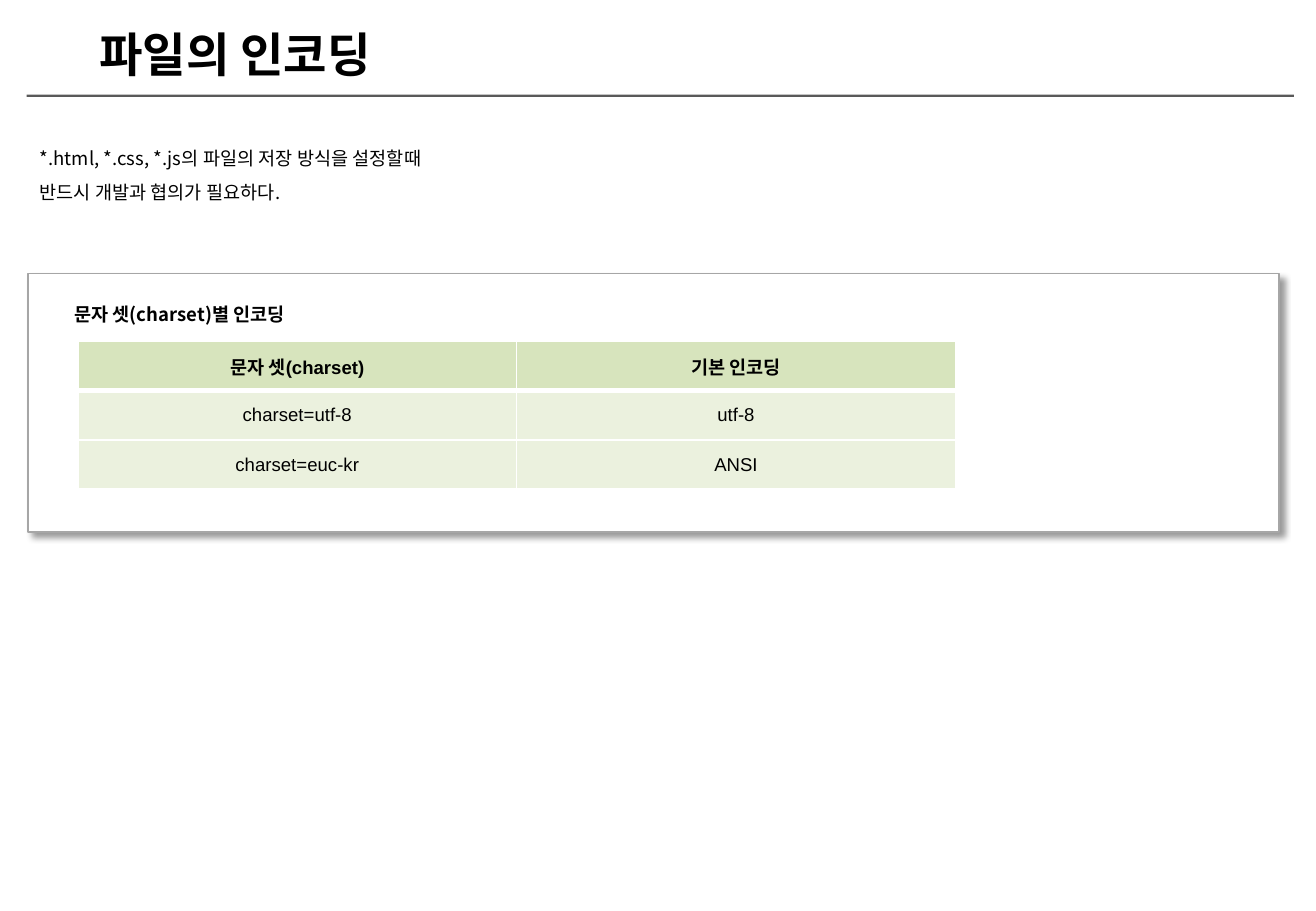
from lxml.etree import SubElement
from pptx import Presentation
from pptx.dml.color import RGBColor
from pptx.enum.shapes import MSO_SHAPE as SHAPE
from pptx.enum.text import MSO_ANCHOR as ANCHOR, MSO_AUTO_SIZE as AUTO, PP_ALIGN as ALIGN
from pptx.oxml import parse_xml
from pptx.oxml.ns import nsdecls, qn
from pptx.util import Cm, Pt

COLORS = {
    "text": "000000", "panel": "FFFFFF", "panel_line": "A6A6A6",
    "rule": "595959", "header": "D7E4BD", "body": "EBF1DE",
    "border": "FFFFFF", "shadow": "000000",
}
KOREAN, LATIN = "Noto Sans CJK KR", "Arial"
TEXTS = [
    (["파일의 인코딩"], (1.83, 0.41, 6.83, 1.45), dict(size=28, bold=True)),
    (["*.html, *.css, *.js의 파일의 저장 방식을 설정할때",
      "반드시 개발과 협의가 필요하다."], (0.58, 2.72, 8.94, 1.57), dict(spacing=1.5)),
    (["문자 셋(charset)별 인코딩"], (1.3, 5.97, 5.16, 0.97), dict(bold=True, spacing=1.5)),
]
ENCODINGS = [
    ("문자 셋(charset)", "기본 인코딩"),
    ("charset=utf-8", "utf-8"),
    ("charset=euc-kr", "ANSI"),
]
PANEL = (0.58, 5.72, 26.16, 5.41)
RULE = (0.56, 1.98, 26.49, 0.05)
TABLE_LEFT, TABLE_TOP, COL_W, ROW_H = 1.63, 7.14, 9.17, 1.03


def rgb(name):
    return RGBColor.from_string(COLORS[name])


def write(tf, lines, size=11, bold=False, font=KOREAN, align=None, spacing=None):
    for i, text in enumerate(lines):
        p = tf.add_paragraph() if i else tf.paragraphs[0]
        p.alignment, p.line_spacing = align, spacing
        r = p.add_run()
        r.text = text
        r.font.size, r.font.bold, r.font.name = Pt(size), bold, font
        r.font.color.rgb = rgb("text")
        SubElement(r.font._element, qn("a:ea")).set("typeface", KOREAN)


def add_box(s, box, fill, line=None):
    sp = s.shapes.add_shape(SHAPE.RECTANGLE, *map(Cm, box))
    sp.shadow.inherit = False
    sp.fill.solid()
    sp.fill.fore_color.rgb = rgb(fill)
    if line:
        sp.line.color.rgb = rgb(line)
        sp.line.width = Pt(1)
    else:
        sp.line.fill.background()
    return sp


def add_shadow(sp):
    effects = sp._element.spPr.find(qn("a:effectLst"))
    effects.append(parse_xml(
        f'<a:outerShdw {nsdecls("a")} blurRad="{Pt(4)}" dist="{Pt(3)}" dir="2700000" '
        f'algn="tl" rotWithShape="0"><a:srgbClr val="{COLORS["shadow"]}">'
        f'<a:alpha val="40000"/></a:srgbClr></a:outerShdw>'))


def add_borders(cell, widths):
    tcPr = cell._tc.get_or_add_tcPr()
    for i, (side, width) in enumerate(widths.items()):
        tcPr.insert(i, parse_xml(
            f'<a:ln{side} {nsdecls("a")} w="{Pt(width)}"><a:solidFill>'
            f'<a:srgbClr val="{COLORS["border"]}"/></a:solidFill></a:ln{side}>'))


def add_encodings(s):
    rows, cols = len(ENCODINGS), len(ENCODINGS[0])
    table = s.shapes.add_table(rows, cols, Cm(TABLE_LEFT), Cm(TABLE_TOP),
                               Cm(COL_W * cols), Cm(ROW_H * rows)).table
    for col in table.columns:
        col.width = Cm(COL_W)
    for i, values in enumerate(ENCODINGS):
        table.rows[i].height = Cm(ROW_H)
        header = i == 0
        for j, text in enumerate(values):
            cell = table.cell(i, j)
            cell.vertical_anchor = ANCHOR.MIDDLE
            cell.fill.solid()
            cell.fill.fore_color.rgb = rgb("header" if header else "body")
            write(cell.text_frame, [text], bold=header, font=LATIN, align=ALIGN.CENTER)
            add_borders(cell, {"L": 1, "R": 1, "T": 3 if i == 1 else 1, "B": 3 if header else 1})


def main():
    prs = Presentation()
    prs.slide_width, prs.slide_height = Cm(27.51), Cm(19.05)
    s = prs.slides.add_slide(prs.slide_layouts[6])
    add_shadow(add_box(s, PANEL, "panel", "panel_line"))
    add_box(s, RULE, "rule")
    for lines, box, style in TEXTS:
        tf = s.shapes.add_textbox(*map(Cm, box)).text_frame
        tf.word_wrap = False
        tf.auto_size = AUTO.SHAPE_TO_FIT_TEXT
        write(tf, lines, **style)
    add_encodings(s)
    prs.save("out.pptx")


if __name__ == "__main__":
    main()
